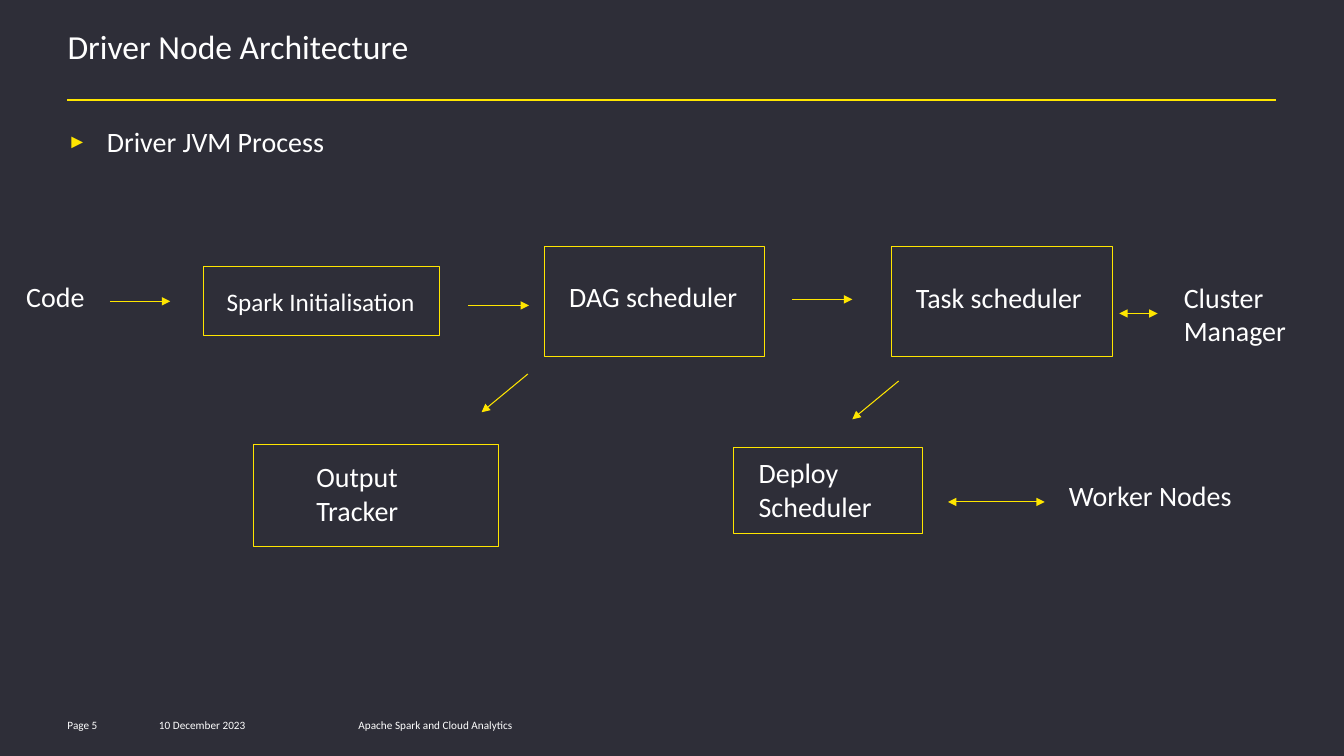
from pptx import Presentation
from pptx.dml.color import RGBColor
from pptx.enum.shapes import MSO_CONNECTOR as Conn, MSO_SHAPE as Shape
from pptx.util import Inches, Pt
from lxml.etree import SubElement as Sub
from pptx.oxml.ns import qn

YELLOW, WHITE, DARK = "FFE600", "FFFFFF", "2E2E38"


def color(code):
    return RGBColor.from_string(code)


class Deck:
    font = "Calibri"

    def __init__(self, wide, high):
        self.prs = Presentation()
        self.prs.slide_width, self.prs.slide_height = Inches(wide), Inches(high)
        self.slide = self.prs.slides.add_slide(self.prs.slide_layouts[6])
        fill = self.slide.background.fill
        fill.solid()
        fill.fore_color.rgb = color(DARK)

    def text(self, words, left, top, width, height, size=20, pad=(0, 0, 0, 0)):
        """Add a text box; pad is left, top, right, bottom. Return its paragraph."""
        box = self.slide.shapes.add_textbox(*map(Inches, (left, top, width, height)))
        frame = box.text_frame
        frame.word_wrap = True
        for side, gap in zip(("left", "top", "right", "bottom"), pad):
            setattr(frame, f"margin_{side}", Inches(gap))
        para = frame.paragraphs[0]
        run = para.add_run()
        run.text = words
        for key, value in {"name": self.font, "size": Pt(size)}.items():
            setattr(run.font, key, value)
        run.font.color.rgb = color(WHITE)
        return para

    def bullet(self, words, left, top, width, height):
        para = self.text(words, left, top, width, height)
        props = para._p.get_or_add_pPr()
        indent = Inches(0.39)
        props.set("marL", str(indent))
        props.set("indent", str(-indent))
        Sub(Sub(props, qn("a:buClr")), qn("a:srgbClr"), val=YELLOW)
        Sub(props, qn("a:buSzPct"), val="70000")
        Sub(props, qn("a:buFont"), typeface="Arial")
        Sub(props, qn("a:buChar"), char="►")

    def box(self, left, top, width, height):
        rect = self.slide.shapes.add_shape(
            Shape.RECTANGLE, *map(Inches, (left, top, width, height)))
        rect.shadow.inherit = False
        rect.fill.background()
        rect.line.color.rgb = color(YELLOW)
        rect.line.width = Pt(0.75)

    def line(self, x1, y1, x2, y2, ends=(), width=0.75):
        """Draw a line; ends lists headEnd and/or tailEnd for arrowheads."""
        link = self.slide.shapes.add_connector(
            Conn.STRAIGHT, *map(Inches, (x1, y1, x2, y2)))
        link.line.color.rgb = color(YELLOW)
        link.line.width = Pt(width)
        for end in ends:
            Sub(link.line._get_or_add_ln(), qn(f"a:{end}"), type="triangle")
        Sub(link._element.spPr, qn("a:effectLst"))


def main():
    deck = Deck(13.34, 7.5)
    title = deck.text("Driver Node Architecture", 0.67, 0.32, 12.01, 0.65, size=24)
    title.line_spacing = 0.85
    deck.line(0.67, 0.99, 12.67, 0.99, width=1.5)
    deck.bullet("Driver JVM Process", 0.67, 1.24, 12.01, 0.47)

    for place in (
        (2.02, 2.64, 2.34, 0.69),
        (5.4, 2.45, 2.19, 1.09),
        (8.85, 2.45, 2.19, 1.09),
        (2.52, 4.41, 2.43, 1.01),
        (7.28, 4.44, 1.88, 0.85),
    ):
        deck.box(*place)

    deck.text("Spark Initialisation", 2.25, 2.84, 2.34, 0.34, size=18)
    for label in (
        ("Code", 0.26, 2.77, 0.82, 0.38),
        ("DAG scheduler", 5.65, 2.77, 2.01, 0.3),
        ("Task scheduler", 9.09, 2.78, 2.01, 0.3),
        ("Cluster Manager", 11.75, 2.78, 1.75, 0.38),
        ("Output Tracker", 3.14, 4.56, 1.6, 0.39),
        ("Deploy Scheduler", 7.53, 4.52, 1.39, 0.47),
        ("Worker Nodes", 10.61, 4.75, 1.77, 0.38),
    ):
        deck.text(*label)

    one, both = ("tailEnd",), ("headEnd", "tailEnd")
    for x, y in ((1.09, 2.99), (4.65, 3.03), (7.86, 2.97)):
        deck.line(x, y, x + 0.6, y, one)
    for x, y in ((5.24, 3.71), (8.92, 3.78)):
        deck.line(x, y, x - 0.46, y + 0.38, one)
    deck.line(11.11, 3.11, 11.49, 3.11, both)
    deck.line(9.41, 4.98, 10.37, 4.98, both)

    for words, left, width, inset in (
        ("Page 5", 0.67, 0.73, 0),
        ("10 December 2023", 1.48, 1.3, 0.1),
        ("Apache Spark and Cloud Analytics", 3.46, 3.38, 0.1),
    ):
        deck.text(words, left, 7.08, width, 0.2, size=8, pad=(inset, 0.05, 0.1, 0.05))

    deck.prs.save("out.pptx")


if __name__ == "__main__":
    main()
